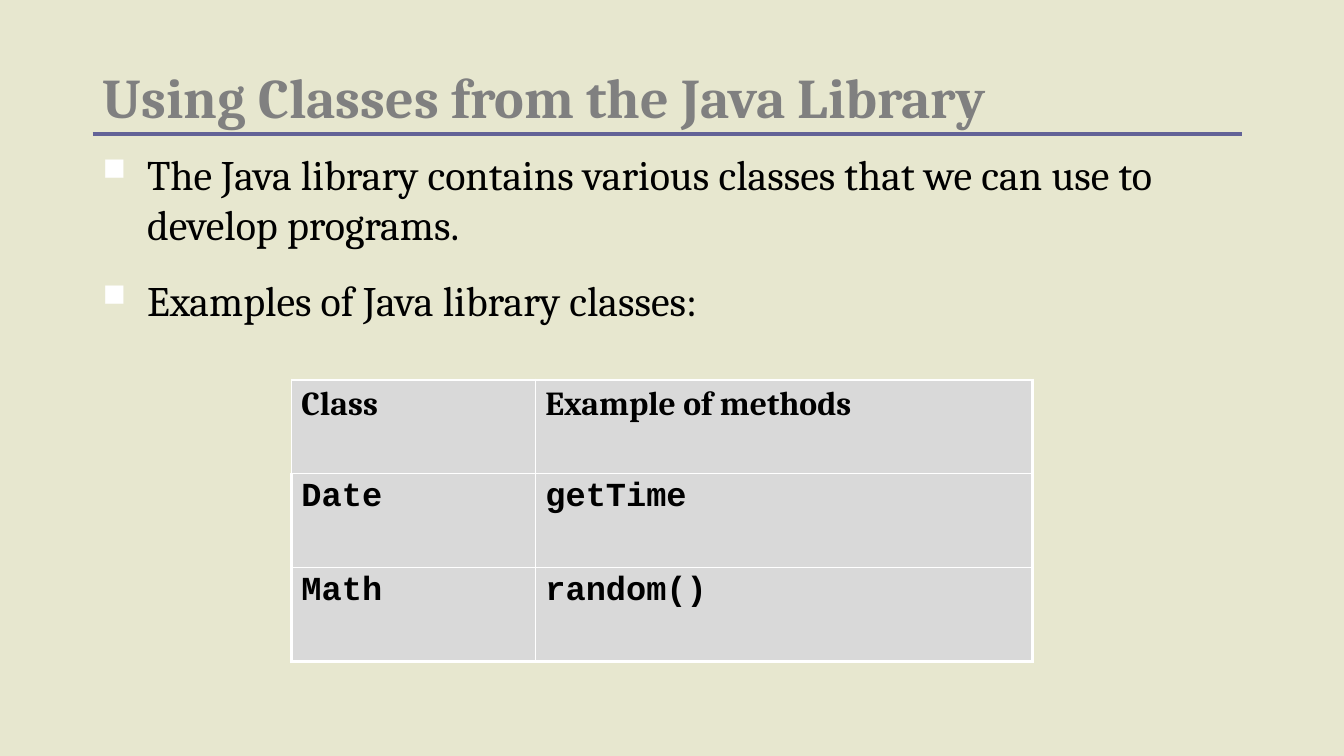
from lxml.etree import SubElement as Sub
from pptx import Presentation
from pptx.dml.color import RGBColor
from pptx.enum.shapes import MSO_CONNECTOR as Conn
from pptx.enum.text import MSO_ANCHOR as Anchor
from pptx.oxml.ns import qn
from pptx.util import Inches, Pt

BULLETS = [
    "The Java library contains various classes that we can use to develop programs.",
    "Examples of Java library classes:",
]
ROWS = [("Class", "Example of methods"), ("Date", "getTime"), ("Math", "random()")]


def rgb(code):
    """Turn a hex string into a colour."""
    return RGBColor.from_string(code)


def write(para, text, size=24, font="Cambria", color="000000", bold=False):
    """Add a formatted run to a paragraph."""
    run = para.add_run()
    run.text = text
    run.font.size = Pt(size)
    run.font.name = font
    run.font.bold = bold
    run.font.color.rgb = rgb(color)


def add_frame(slide, left, top, width, height, anchor=Anchor.TOP):
    """Add a wrapping text box and return its frame."""
    box = slide.shapes.add_textbox(Inches(left), Inches(top), Inches(width), Inches(height))
    frame = box.text_frame
    frame.word_wrap = True
    frame.vertical_anchor = anchor
    return frame


def mark(para, color="FFFFFF", scale=75):
    """Give a paragraph a square bullet with a hanging indent."""
    props = para._p.get_or_add_pPr()
    indent = Inches(0.44)
    props.set("marL", str(indent))
    props.set("indent", str(-indent))
    Sub(Sub(props, qn("a:buClr")), qn("a:srgbClr"), val=color)
    Sub(props, qn("a:buSzPct"), val=str(scale * 1000))
    Sub(props, qn("a:buChar"), char="■")


def add_list(slide, items):
    """Add the bulleted text."""
    frame = add_frame(slide, 0.92, 1.42, 11.41, 5.42)
    for i, item in enumerate(items):
        para = frame.add_paragraph() if i else frame.paragraphs[0]
        if i:
            para.space_before = Pt(18)
        mark(para)
        write(para, item, size=30)


def add_rule(slide):
    """Draw the line under the title."""
    y = Inches(1.33)
    line = slide.shapes.add_connector(Conn.STRAIGHT, Inches(0.92), y, Inches(12.32), y)
    line.line.color.rgb = rgb("636397")
    line.line.width = Pt(2.5)
    Sub(line._element.spPr, qn("a:effectLst"))


def edge(cell, **sides):
    """Draw white cell borders, thick where a side is true."""
    props = cell._tc.get_or_add_tcPr()
    for side, thick in sides.items():
        width = Pt(2.25 if thick else 1)
        line = Sub(props, qn(f"a:ln{side}"), w=str(width))
        Sub(Sub(line, qn("a:solidFill")), qn("a:srgbClr"), val="FFFFFF")


def add_grid(slide, rows, widths, tall):
    """Add the table of classes and methods."""
    size = Inches(sum(widths)), Inches(tall * len(rows))
    shape = slide.shapes.add_table(len(rows), len(widths), Inches(2.89), Inches(3.77), *size)
    table = shape.table
    for col, width in zip(table.columns, widths):
        col.width = Inches(width)
    for r, row in enumerate(rows):
        table.rows[r].height = Inches(tall)
        for c, text in enumerate(row):
            cell = table.cell(r, c)
            edge(cell, L=c == 0 and r > 0, R=c == len(row) - 1,
                 T=r == 0, B=r == len(rows) - 1)
            cell.fill.solid()
            cell.fill.fore_color.rgb = rgb("D9D9D9")
            font = "Courier New" if r else "Cambria"
            write(cell.text_frame.paragraphs[0], text, font=font, bold=True)


def main():
    """Build and save the slide."""
    deck = Presentation()
    deck.slide_width, deck.slide_height = Inches(13.33), Inches(7.5)
    slide = deck.slides.add_slide(deck.slide_layouts[6])
    slide.background.fill.solid()
    slide.background.fill.fore_color.rgb = rgb("E7E7CF")
    title = add_frame(slide, 0.92, 0.33, 10.42, 1, Anchor.BOTTOM).paragraphs[0]
    title.line_spacing = 0.8
    write(title, "Using Classes from the Java Library", size=40, color="808080", bold=True)
    add_list(slide, BULLETS)
    add_grid(slide, ROWS, widths=(2.42, 4.93), tall=0.93)
    add_rule(slide)
    deck.save("out.pptx")


if __name__ == "__main__":
    main()
